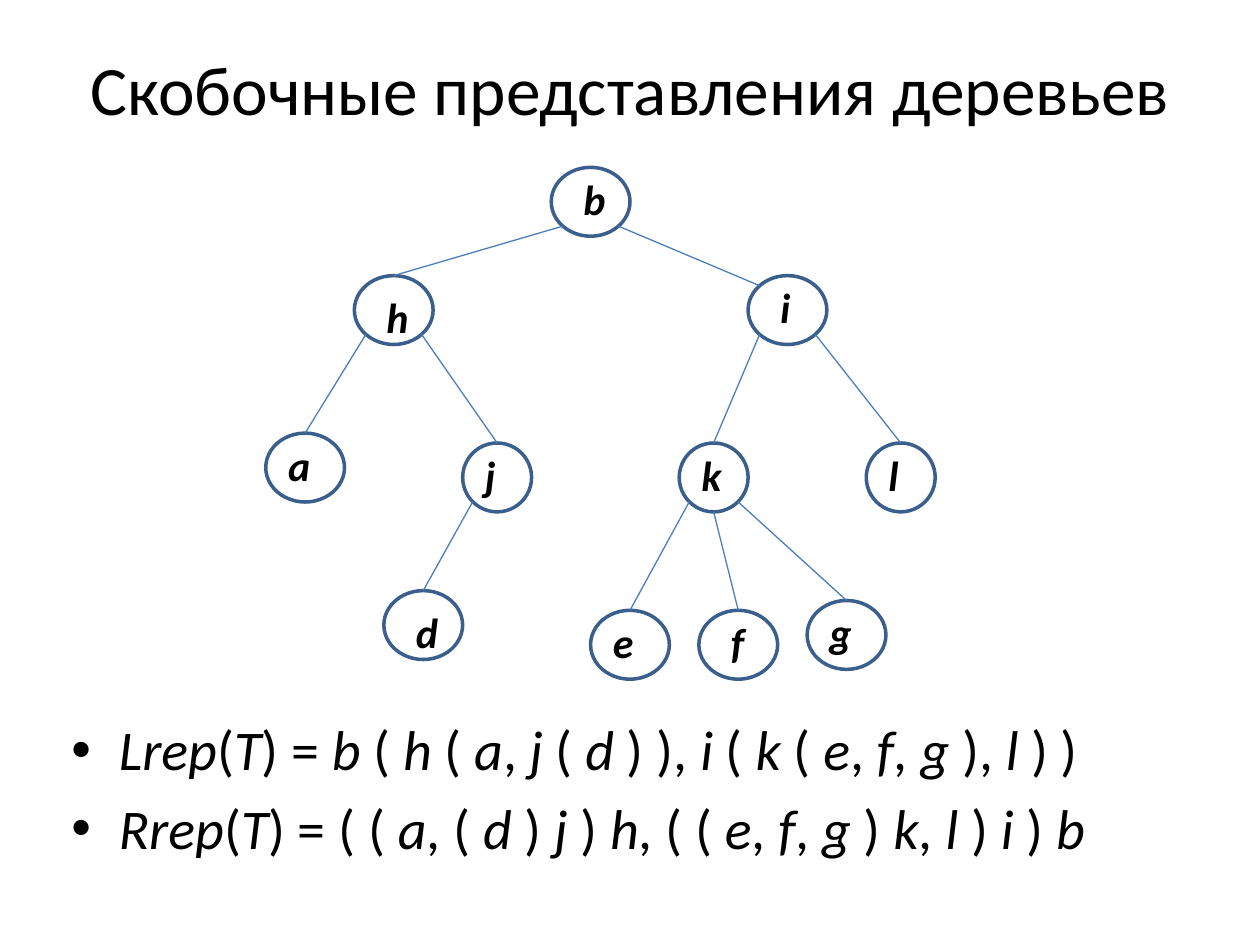
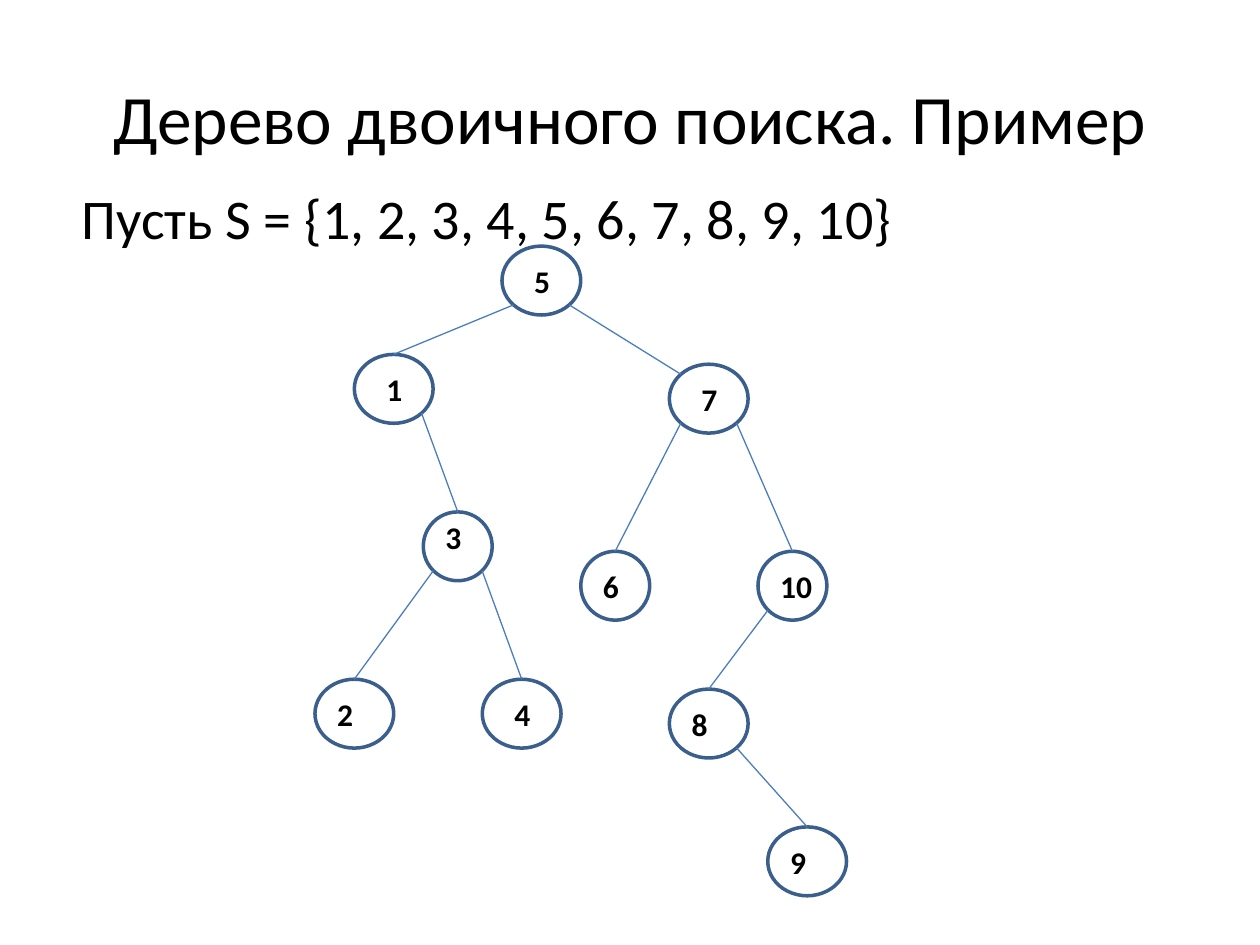
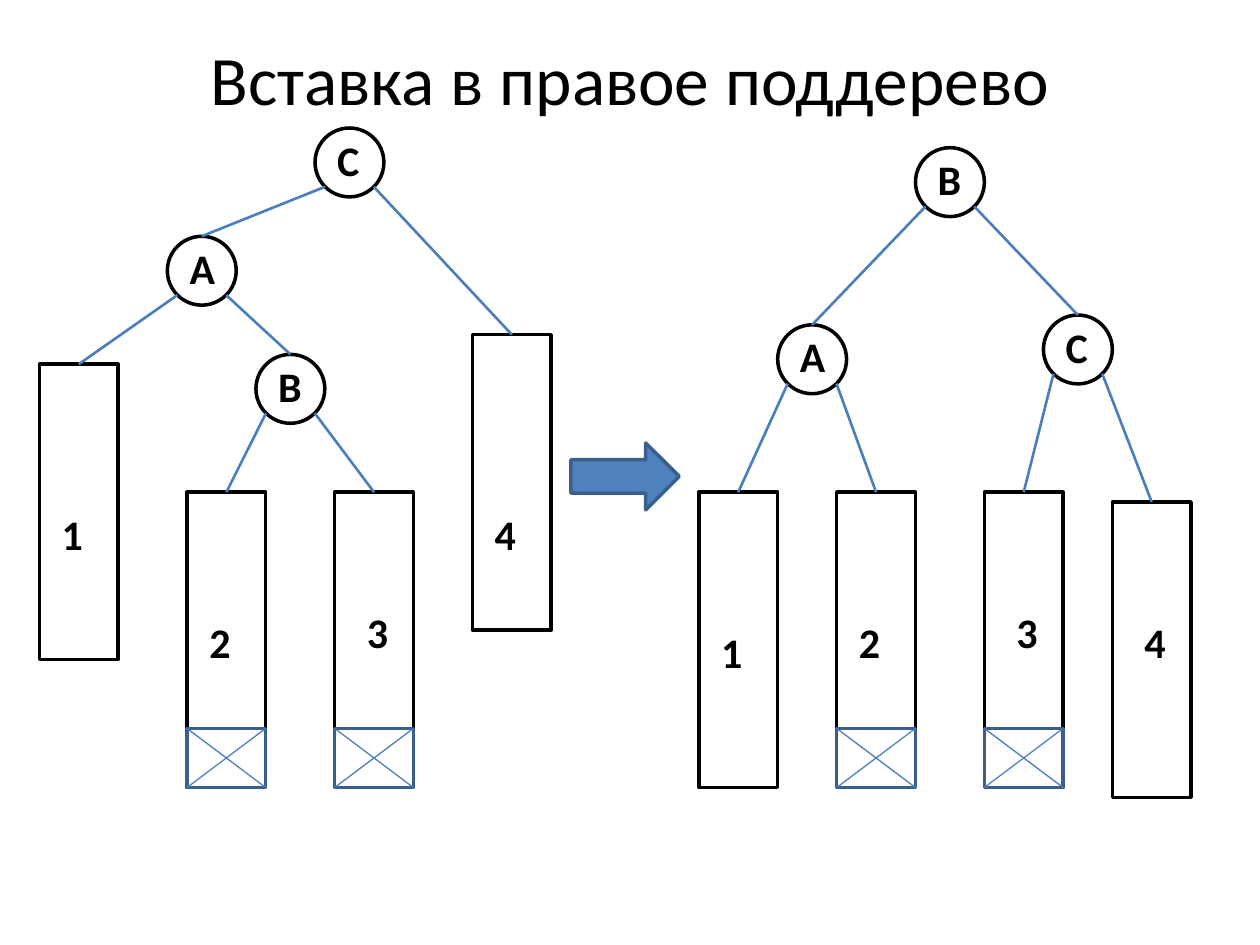
from dataclasses import dataclass
from itertools import groupby

from lxml import etree
from pptx import Presentation
from pptx.dml.color import RGBColor
from pptx.enum import shapes as kinds, text as txt
from pptx.oxml.ns import qn
from pptx.util import Pt

BLACK = RGBColor(0x00, 0x00, 0x00)
NAVY = RGBColor(0x3A, 0x5F, 0x8C)
BLUE = RGBColor(0x4B, 0x7E, 0xBC)
FILL = RGBColor(0x4F, 0x81, 0xBD)
FONT = "Calibri"
GRID = 45 / 8
DIAG = 0.5 ** 0.5
OVAL = kinds.MSO_SHAPE.OVAL
RECT = kinds.MSO_SHAPE.RECTANGLE
ARROW = kinds.MSO_SHAPE.RIGHT_ARROW
GLYPHS = {"b": 0.54, "h": 0.54, "d": 0.54, "i": 0.25, "j": 0.27, "l": 0.25,
          "f": 0.32, "g": 0.47, "A": 0.61, "B": 0.56, "С": 0.53, "10": 1.01}
SIDES = {"l": (-DIAG, DIAG), "r": (DIAG, DIAG), "b": (0, 1),
         "t": (0, -1), "c": (-DIAG, -DIAG)}


@dataclass
class Node:
    col: float
    row: float
    wide: float = 7
    dx: float = 1
    dy: float = 0
    high: float = 7
    kind: int = OVAL
    mark: bool = False


def bar(col, row, dx, dy, mark=False):
    return Node(col, row, 8, dx, dy, 30, RECT, mark)


def write(frame, lines, size=24, bold=False, slant=False, align=None,
          gap=0, bullet=False, wrap=True, anchor=txt.MSO_ANCHOR.TOP):
    frame.word_wrap = wrap
    frame.auto_size = txt.MSO_AUTO_SIZE.NONE
    frame.vertical_anchor = anchor
    for num, line in enumerate(lines.split("\n")):
        para = frame.add_paragraph() if num else frame.paragraphs[0]
        para.alignment = align
        para.space_before = Pt(gap)
        if bullet:
            props = para._p.get_or_add_pPr()
            props.set("marL", str(Pt(27)))
            props.set("indent", str(-Pt(27)))
            etree.SubElement(props, qn("a:buFont")).set("typeface", "Arial")
            etree.SubElement(props, qn("a:buChar")).set("char", "•")
        parts = groupby(line, str.isalpha) if slant else [(False, line)]
        for tilt, part in parts:
            run = para.add_run()
            run.text = "".join(part)
            font = run.font
            font.name, font.size, font.bold, font.italic = FONT, Pt(size), bold, tilt
            font.color.rgb = BLACK


def shape(slide, kind, box, line, fill=None):
    item = slide.shapes.add_shape(kind, *map(Pt, box))
    item.shadow.inherit = False
    if fill is None:
        item.fill.background()
    else:
        item.fill.solid()
        item.fill.fore_color.rgb = fill
    item.line.color.rgb = line
    item.line.width = Pt(2)


def link(slide, start, end, width=0.75):
    item = slide.shapes.add_connector(
        kinds.MSO_CONNECTOR.STRAIGHT, *map(Pt, (*start, *end)))
    item.line.color.rgb = BLUE
    item.line.width = Pt(width)
    etree.SubElement(item._element.spPr, qn("a:effectLst"))


def label(slide, left, top, word, size, slant):
    wide = 14.4 + size * GLYPHS.get(word, 0.5)
    item = slide.shapes.add_textbox(Pt(left), Pt(top), Pt(wide), Pt(size * 1.2 + 7.2))
    write(item.text_frame, word, size=size, bold=True, slant=slant, wrap=False)


def cross(slide, box):
    left, top, wide, high = box
    shape(slide, RECT, box, NAVY)
    link(slide, (left, top), (left + wide, top + high))
    link(slide, (left + wide, top), (left, top + high))


def joint(box, side):
    left, top, wide, high = box
    across, down = SIDES[side]
    return left + wide / 2 * (1 + across), top + high / 2 * (1 + down)


def tree(slide, box, nodes, edges, size=24, slant=False, line=NAVY, width=0.75):
    left, top = box
    spots = {}
    for word, node in nodes.items():
        spot = (left + node.col * GRID, top + node.row * GRID,
                node.wide * GRID, node.high * GRID)
        spots[word] = spot
        shape(slide, node.kind, spot, line)
        if node.mark:
            cross(slide, (spot[0], spot[1] + 24 * GRID, spot[2], 6 * GRID))
    for edge in edges.split():
        start, side, end, *stop = edge.split("-")
        link(slide, joint(spots[start], side),
             joint(spots[end], stop[0] if stop else "t"), width)
    for word, node in nodes.items():
        spot = spots[word]
        label(slide, spot[0] + node.dx * GRID, spot[1] + node.dy * GRID,
              word, size, slant)


def place(item, box):
    item.left, item.top, item.width, item.height = map(Pt, box)


def page(deck, title, high):
    slide = deck.slides.add_slide(deck.slide_layouts[5])
    head = slide.shapes.title
    place(head, (36, 21.6, 648, high))
    write(head.text_frame, title, size=39.6, align=txt.PP_ALIGN.CENTER,
          anchor=txt.MSO_ANCHOR.MIDDLE)
    return slide


def body(slide, box, lines, **style):
    item = slide.shapes.add_textbox(*map(Pt, box))
    write(item.text_frame, lines, size=32, gap=6.4, **style)


def brackets(deck):
    slide = page(deck, "Скобочные представления деревьев", 57)
    body(slide, (33.75, 405, 646.5, 112.5),
         "Lrep(T) = b ( h ( a, j ( d ) ), i ( k ( e, f, g ), l ) )\n"
         "Rrep(T) = ( ( a, ( d ) j ) h, ( ( e, f, g ) k, l ) i ) b",
         slant=True, bullet=True)
    nodes = {
        "b": Node(29, 0, 8, 2), "i": Node(49, 11, 8, 2),
        "h": Node(9, 11, 8, 2, 1), "j": Node(20, 28),
        "k": Node(42, 28), "l": Node(61, 28),
        "e": Node(33, 45, 8), "d": Node(12, 43, 8, 2, 1),
        "f": Node(44, 45, 8, 2), "a": Node(0, 27, 8),
        "g": Node(55, 44, 8),
    }
    tree(slide, (27 * GRID, 17 * GRID), nodes,
         "b-l-h b-r-i-c h-r-j i-l-k i-r-l j-l-d k-l-e k-b-f h-l-a k-r-g",
         slant=True)


def search(deck):
    slide = page(deck, "Дерево двоичного поиска. Пример", 90)
    body(slide, (39.4, 101.25, 648, 54), "Пусть S = {1, 2, 3, 4, 5, 6, 7, 8, 9, 10}")
    nodes = {
        "5": Node(19, 0, 8, 2, 1), "7": Node(36, 12, 8, 2, 1),
        "1": Node(4, 11, 8, 2, 1), "3": Node(11, 27),
        "6": Node(27, 31, dy=1), "10": Node(45, 31, dy=1),
        "4": Node(17, 44, 8, 2, 1), "2": Node(0, 44, 8, 1, 1),
        "8": Node(36, 45, 8, 1, 1), "9": Node(46, 59, 8, 1, 1),
    }
    tree(slide, (32 * GRID, 25 * GRID), nodes,
         "5-l-1 5-r-7-c 1-r-3 7-l-6 7-r-10 3-l-2 3-r-4 10-l-8 8-r-9", size=18)


def insert(deck):
    slide = page(deck, "Вставка в правое поддерево", 46)
    before = {
        "С": Node(28, 0), "A": Node(13, 11), "B": Node(22, 23),
        "1": bar(0, 24, 1, 14), "2": bar(15, 37, 1, 12, True),
        "3": bar(30, 37, 2, 11, True), "4": bar(44, 21, 1, 17),
    }
    after = {
        "B": Node(22, 0), "A": Node(8, 18), "С": Node(35, 17),
        "1": bar(0, 35, 1, 13), "2": bar(14, 35, 1, 12, True),
        "3": bar(29, 35, 2, 11, True), "4": bar(42, 36, 2, 11),
    }
    style = dict(line=BLACK, width=1.5)
    tree(slide, (4 * GRID, 13 * GRID), before,
         "С-l-A С-r-4 A-l-1 A-r-B B-l-2 B-r-3", **style)
    shape(slide, ARROW, (58 * GRID, 45 * GRID, 11 * GRID, 6.8 * GRID), NAVY, FILL)
    tree(slide, (71 * GRID, 15 * GRID), after,
         "B-l-A B-r-С A-l-1 A-r-2 С-l-3 С-r-4", **style)


deck = Presentation()
deck.slide_width, deck.slide_height = Pt(720), Pt(540)
brackets(deck)
search(deck)
insert(deck)
deck.save("out.pptx")
